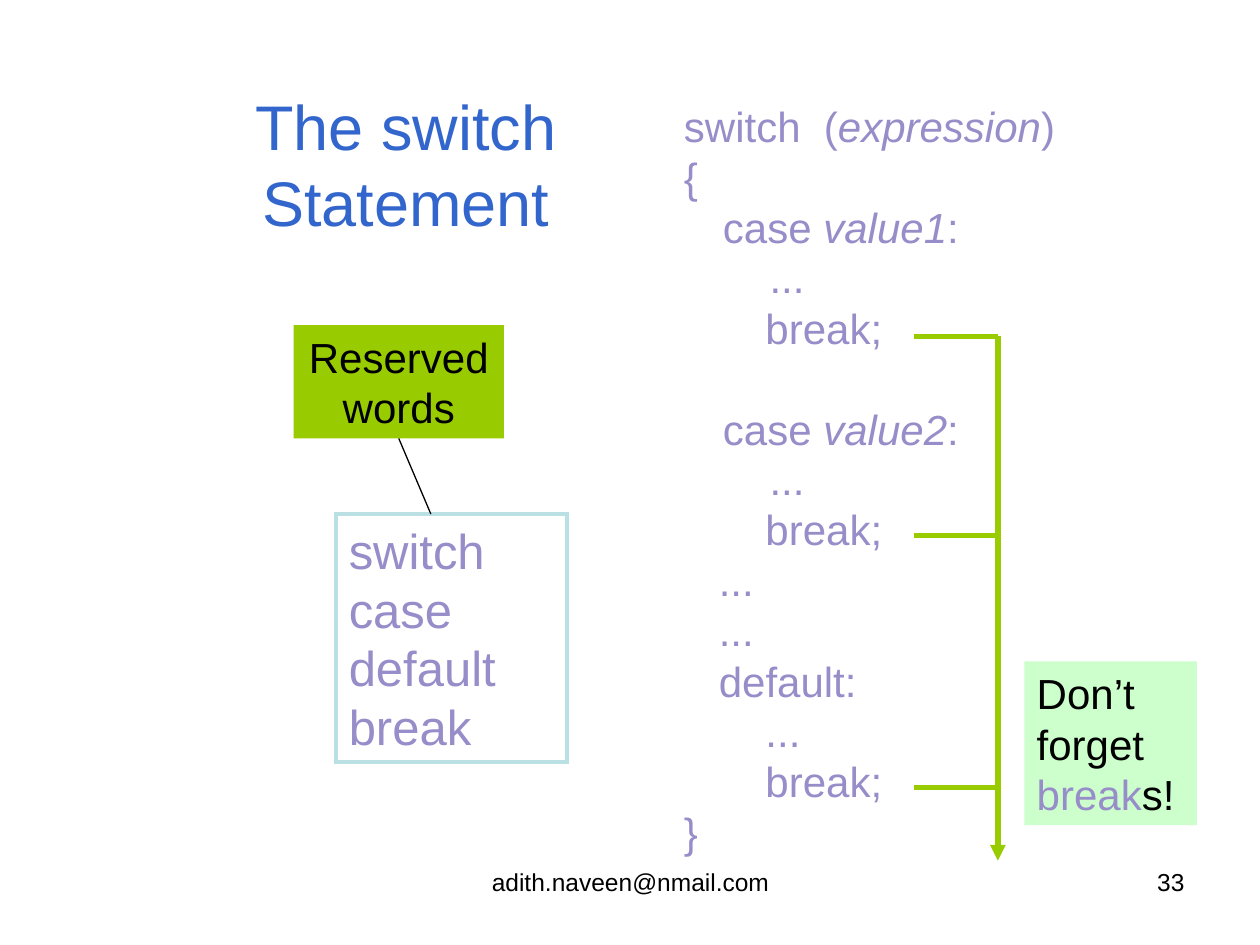
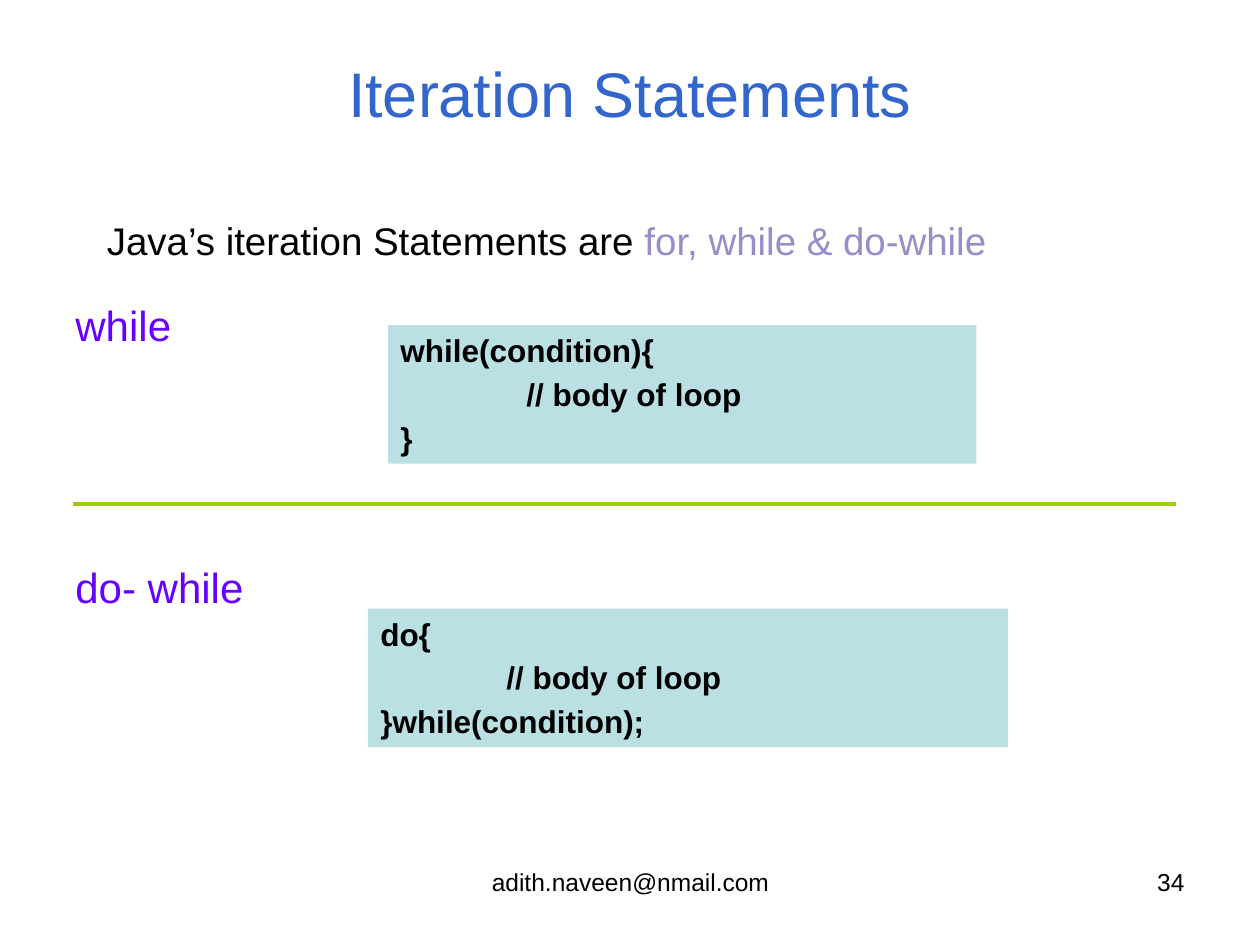
from lxml import etree
from pptx import Presentation
from pptx.dml.color import RGBColor
from pptx.enum import shapes, text
from pptx.oxml.ns import qn
from pptx.util import Inches, Pt

FONT = "Arial"
BLACK = RGBColor(0x00, 0x00, 0x00)
BLUE = RGBColor(0x33, 0x66, 0xCC)
LAVENDER = RGBColor(0x96, 0x8D, 0xC9)
VIOLET = RGBColor(0x66, 0x00, 0xFF)
GREEN = RGBColor(0x99, 0xCC, 0x00)
PALE_GREEN = RGBColor(0xCC, 0xFF, 0xCC)
PALE_TEAL = RGBColor(0xBB, 0xE0, 0xE3)

FOOTER = "adith.naveen@nmail.com"
FIRST_PAGE = 33

# A paragraph is a string or a list of runs; a run is a string or (string, format).
ITALIC = {"italic": True}
KEYWORD = {"color": LAVENDER}
SWITCH_HEAD = [["switch  (", ("expression", ITALIC), ")"], "{"]
SWITCH_CASES = ["value1", "value2"]
CASE_BODY = ["\t    ...", "       break;"]
SWITCH_TAIL = ["   ...", "   ...", "   default:", "       ...", "       break;", "}"]
RESERVED_WORDS = ["switch case", "default", "break"]
REMINDER = [["Don’t forget ", ("break", KEYWORD), "s!"]]
BREAK_LEVELS = [2.67, 4.25, 6.25]
BREAK_LEFT, EXIT_X, EXIT_BOTTOM = 7.25, 7.92, 6.83

ITERATION_INTRO = [["Java’s iteration Statements are ", ("for, while & do-while", KEYWORD)]]
LOOPS = [
    {"name": "while", "label": (0.5, 2.33, 1.08, 0.5), "box": (3.08, 2.58, 4.67, 1.1),
     "code": ["while(condition){", "\t// body of loop", "}"]},
    {"name": "do- while", "label": (0.5, 4.41, 1.58, 0.5), "box": (2.92, 4.83, 5.08, 1.1),
     "code": ["do{", "\t// body of loop", "}while(condition);"]},
]


def write(shape, paragraphs, size, color=BLACK, bold=False, align=text.PP_ALIGN.LEFT,
          anchor=text.MSO_ANCHOR.TOP, gap=0, tab=None):
    """Fill a shape; gap is the space before all paragraphs but the first, tab a stop."""
    frame = shape.text_frame
    frame.word_wrap = True
    frame.auto_size = text.MSO_AUTO_SIZE.NONE
    frame.vertical_anchor = anchor
    for index, runs in enumerate(paragraphs):
        paragraph = frame.add_paragraph() if index else frame.paragraphs[0]
        paragraph.alignment = align
        paragraph.space_before = Pt(gap if index else 0)
        if tab is not None:
            stops = etree.SubElement(paragraph._p.get_or_add_pPr(), qn("a:tabLst"))
            etree.SubElement(stops, qn("a:tab"), pos=str(Inches(tab)), algn="l")
        for item in [runs] if isinstance(runs, str) else runs:
            words, changes = (item, {}) if isinstance(item, str) else item
            run = paragraph.add_run()
            run.text = words
            run.font.name = FONT
            run.font.size = Pt(size)
            run.font.bold = bold
            run.font.italic = changes.get("italic", False)
            run.font.color.rgb = changes.get("color", color)
    return shape


def add_text(slide, place, paragraphs, size, **format):
    box = slide.shapes.add_textbox(*map(Inches, place))
    return write(box, paragraphs, size, **format)


def add_box(slide, place, paragraphs, size, fill=None, outline=None, **format):
    box = slide.shapes.add_shape(shapes.MSO_SHAPE.RECTANGLE, *map(Inches, place))
    box.shadow.inherit = False
    if fill is None:
        box.fill.background()
    else:
        box.fill.solid()
        box.fill.fore_color.rgb = fill
    if outline is None:
        box.line.fill.background()
    else:
        box.line.color.rgb = outline
        box.line.width = Pt(2.25)
        etree.SubElement(box.line._get_or_add_ln(), qn("a:miter"), lim="800000")
    return write(box, paragraphs, size, **format)


def add_line(slide, start, end, color, width, arrow=False):
    line = slide.shapes.add_connector(shapes.MSO_CONNECTOR.STRAIGHT,
                                      *map(Inches, start + end))
    line.line.color.rgb = color
    line.line.width = Pt(width)
    if arrow:
        outline = line.line._get_or_add_ln()
        etree.SubElement(outline, qn("a:tailEnd"), type="triangle")
    etree.SubElement(line._element.spPr, qn("a:effectLst"))
    return line


def add_slide(presentation, title, title_place, page):
    slide = presentation.slides.add_slide(presentation.slide_layouts[5])
    heading = slide.shapes.title
    heading.left, heading.top, heading.width, heading.height = map(Inches, title_place)
    write(heading, [title], 36, color=BLUE, align=text.PP_ALIGN.CENTER,
          anchor=text.MSO_ANCHOR.MIDDLE)
    add_text(slide, (3.42, 6.83, 3.17, 0.52), [FOOTER], 14, align=text.PP_ALIGN.CENTER)
    add_text(slide, (7.17, 6.83, 2.33, 0.52), [str(page)], 14, align=text.PP_ALIGN.RIGHT)
    return slide


def add_switch_code(slide):
    code = list(SWITCH_HEAD)
    for value in SWITCH_CASES:
        code += [["\tcase ", (value, ITALIC), ":"], *CASE_BODY]
    code += SWITCH_TAIL
    box = add_text(slide, (4.83, 0.75, 4.5, 6.08), code, 24, color=LAVENDER)
    for paragraph in box.text_frame.paragraphs:
        properties = paragraph._p.get_or_add_pPr()
        properties.set("marL", str(Inches(0.81)))
        properties.set("indent", str(Inches(-0.31)))
    second_case = len(SWITCH_HEAD) + 1 + len(CASE_BODY)
    box.text_frame.paragraphs[second_case].space_before = Pt(28.8)


def build_switch(presentation):
    slide = add_slide(presentation, "The switch Statement", (1.28, 0.67, 3.88, 1.25),
                      FIRST_PAGE)
    add_switch_code(slide)
    add_box(slide, (2.67, 4.08, 1.83, 1.97), RESERVED_WORDS, 28,
            outline=PALE_TEAL, color=LAVENDER)
    reserved = add_box(slide, (2.33, 2.58, 1.67, 0.9), ["Reserved words"], 24,
                       fill=GREEN, align=text.PP_ALIGN.CENTER)
    pointer = add_line(slide, (3.17, 3.48), (3.42, 4.08), BLACK, 0.75)
    pointer.begin_connect(reserved, 2)
    add_box(slide, (8.13, 5.25, 1.37, 1.3), REMINDER, 24, fill=PALE_GREEN)
    for level in BREAK_LEVELS:
        add_line(slide, (BREAK_LEFT, level), (EXIT_X, level), GREEN, 3)
    add_line(slide, (EXIT_X, BREAK_LEVELS[0]), (EXIT_X, EXIT_BOTTOM), GREEN, 3, arrow=True)


def build_iteration(presentation):
    slide = add_slide(presentation, "Iteration Statements", (0.5, 0.3, 9, 0.87),
                      FIRST_PAGE + 1)
    add_text(slide, (0.75, 1.67, 7.92, 0.47), ITERATION_INTRO, 22)
    for loop in LOOPS:
        add_text(slide, loop["label"], [loop["name"]], 24, color=VIOLET)
        add_box(slide, loop["box"], loop["code"], 18, fill=PALE_TEAL, bold=True, gap=3.4,
                tab=1)
    add_line(slide, (0.58, 4), (9.33, 4), GREEN, 2.25)


def main():
    presentation = Presentation()
    presentation.slide_width = Inches(10)
    presentation.slide_height = Inches(7.5)
    build_switch(presentation)
    build_iteration(presentation)
    presentation.save("out.pptx")


if __name__ == "__main__":
    main()
